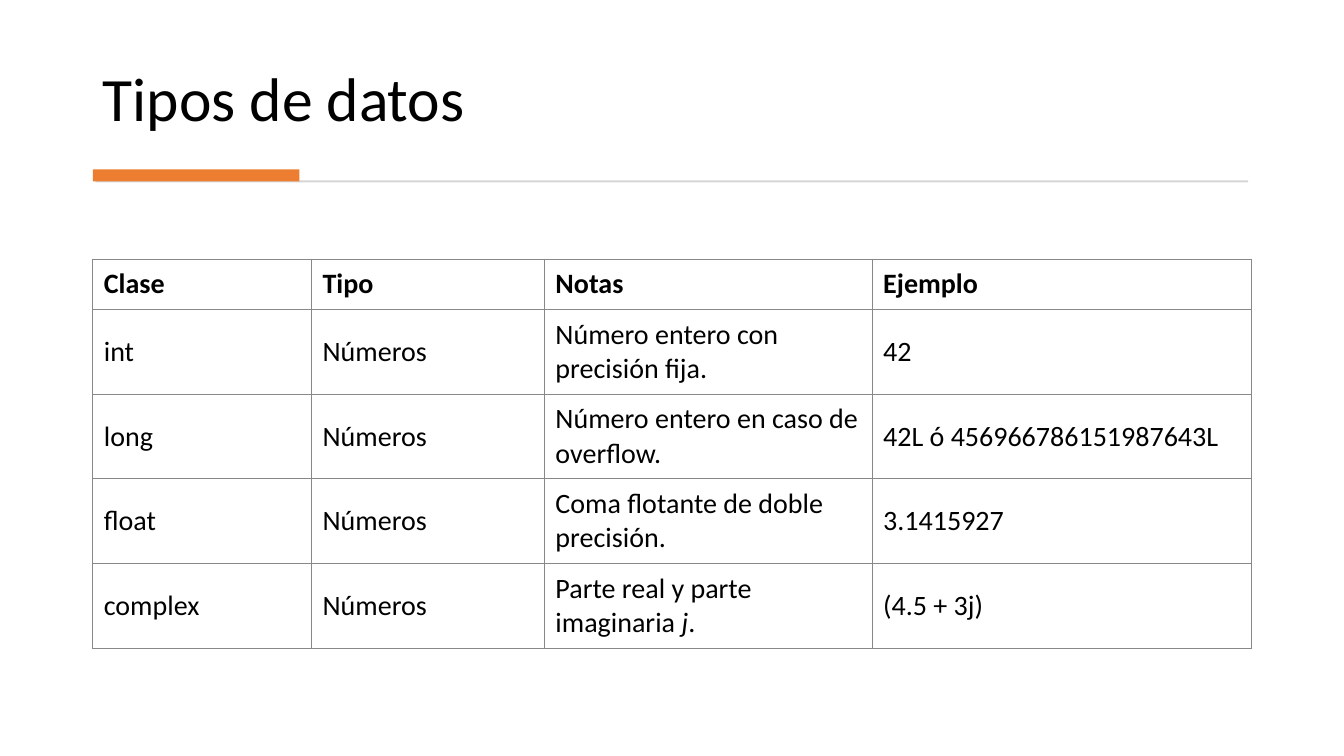
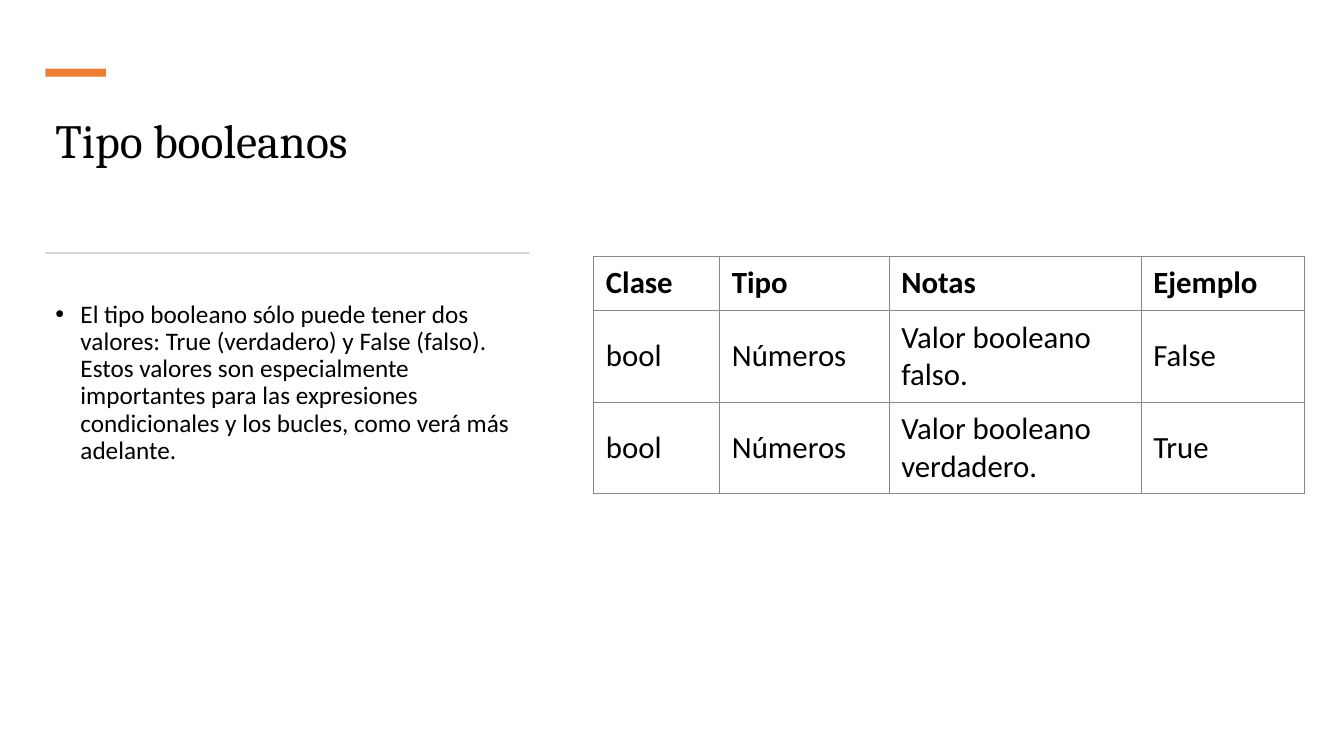
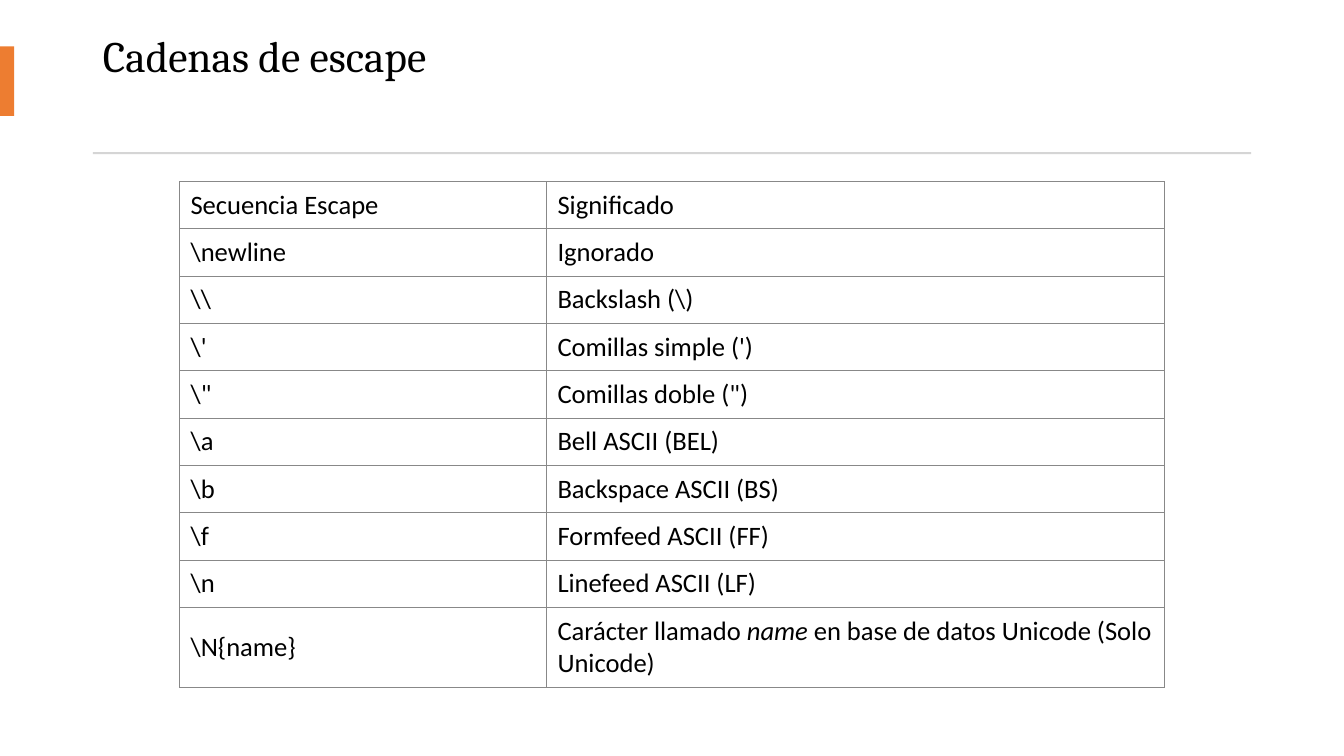
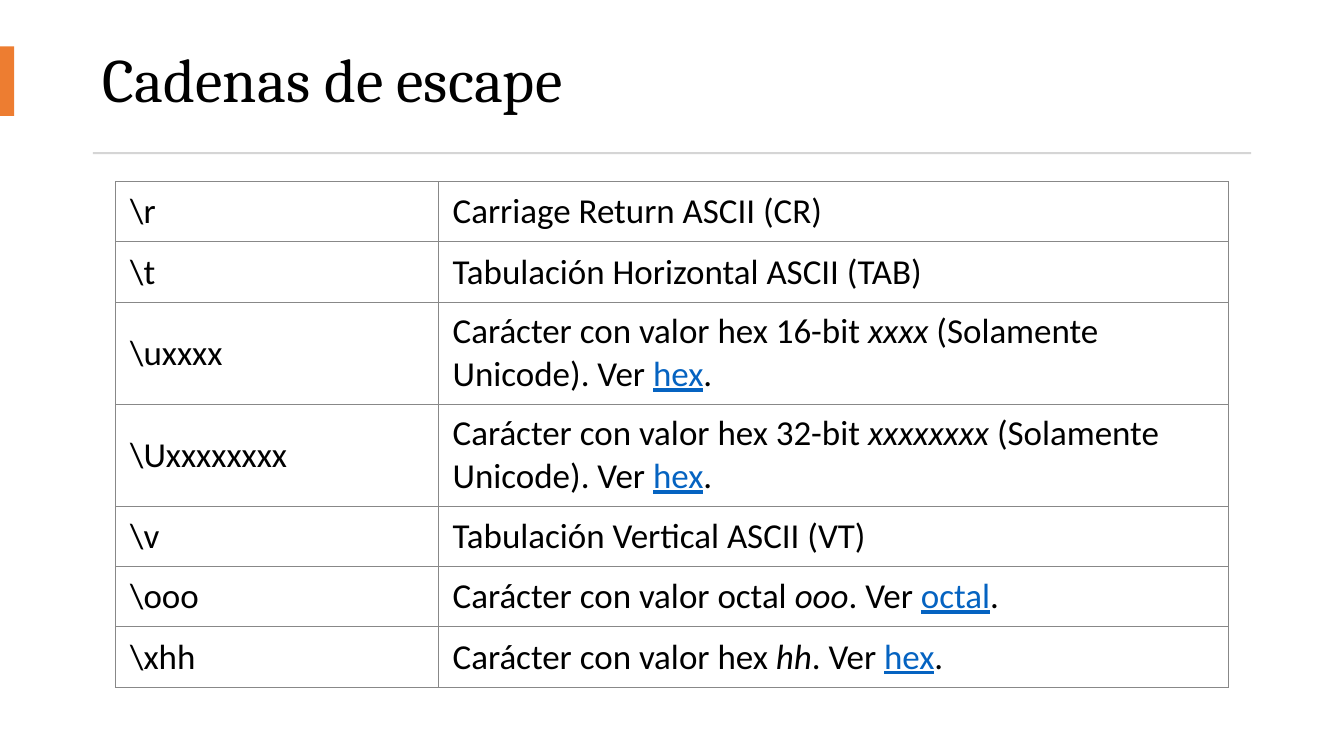
from dataclasses import dataclass

from lxml import etree
from pptx import Presentation
from pptx import util as u
from pptx.dml.color import RGBColor
from pptx.enum import shapes, text
from pptx.oxml.ns import qn

Inches, Pt = u.Inches, u.Pt


@dataclass(frozen=True)
class Theme:
    ink: str = "000000"
    paper: str = "FFFFFF"
    accent: str = "ED7D31"
    rule: str = "D5D5D5"
    grid: str = "888888"
    link: str = "0563C1"
    sans: str = "Calibri"
    serif: str = "Cambria"
    title: int = 44
    title_medium: int = 34
    title_small: int = 31
    body: int = 18
    grid_width: float = 0.75
    spacing: float = 0.9


class Deck:
    """Holds the theme and the slide being built."""

    def __init__(self, theme):
        self.theme = theme
        self.prs = Presentation()
        self.prs.slide_width, self.prs.slide_height = Inches(13.33), Inches(7.5)
        self.s = None

    def font(self, r, size, name=None, color=None):
        r.font.size, r.font.name = Pt(size), name or self.theme.sans
        r.font.color.rgb = RGBColor.from_string(color or self.theme.ink)

    def title_slide(self, title, box, size, name, anchor, bottom=0.05):
        self.s = self.prs.slides.add_slide(self.prs.slide_layouts[5])
        sp = self.s.shapes.title
        sp.left, sp.top, sp.width, sp.height = map(Inches, box)
        tf = sp.text_frame
        tf.text = title
        tf.word_wrap, tf.auto_size = True, text.MSO_AUTO_SIZE.NONE
        tf.vertical_anchor, tf.margin_bottom = anchor, Inches(bottom)
        p = tf.paragraphs[0]
        p.alignment, p.line_spacing = text.PP_ALIGN.LEFT, self.theme.spacing
        self.font(p.runs[0], size, name)

    def bar(self, box, color):
        sp = self.s.shapes.add_shape(shapes.MSO_SHAPE.RECTANGLE, *map(Inches, box))
        sp.shadow.inherit = False
        sp.fill.solid()
        sp.fill.fore_color.rgb = RGBColor.from_string(color)
        sp.line.fill.background()

    def bullet(self, words, box):
        tf = self.s.shapes.add_textbox(*map(Inches, box)).text_frame
        tf.word_wrap = True
        tf.text = words
        p = tf.paragraphs[0]
        p.line_spacing, p.space_before = self.theme.spacing, Pt(10)
        pPr = p._p.get_or_add_pPr()
        pPr.set("marL", str(Inches(0.25)))
        pPr.set("indent", str(-Inches(0.25)))
        etree.SubElement(pPr, qn("a:buFont"), typeface="Arial")
        etree.SubElement(pPr, qn("a:buChar"), char="•")
        self.font(p.runs[0], self.theme.body)

    def borders(self, cell):
        tcPr = cell._tc.get_or_add_tcPr()
        for side in ("lnL", "lnR", "lnT", "lnB"):
            ln = etree.SubElement(tcPr, qn(f"a:{side}"), w=str(Pt(self.theme.grid_width)))
            fill = etree.SubElement(ln, qn("a:solidFill"))
            etree.SubElement(fill, qn("a:srgbClr"), val=self.theme.grid)

    def cell(self, cell, content, size, bold, margins):
        """Content is a string or a list of strings and (string, kind) pairs."""
        self.borders(cell)
        cell.fill.solid()
        cell.fill.fore_color.rgb = RGBColor.from_string(self.theme.paper)
        cell.vertical_anchor = text.MSO_ANCHOR.MIDDLE
        cell.margin_left = cell.margin_right = Inches(margins[0])
        cell.margin_top = cell.margin_bottom = Inches(margins[1])
        p = cell.text_frame.paragraphs[0]
        for piece in [content] if isinstance(content, str) else content:
            words, kind = (piece, "") if isinstance(piece, str) else piece
            r = p.add_run()
            r.text = words
            self.font(r, size, color=self.theme.link if kind == "link" else None)
            r.font.bold, r.font.italic = bold, kind == "italic"
            r.font.underline = kind == "link"

    def table(self, rows, at, widths, heights, size, margins, header=False):
        frame = self.s.shapes.add_table(len(rows), len(widths), *map(Inches, at),
                                        Inches(sum(widths)), Inches(sum(heights)))
        table = frame.table
        table.first_row = table.horz_banding = False
        for column, width in zip(table.columns, widths):
            column.width = Inches(width)
        for i, (row, height) in enumerate(zip(rows, heights)):
            table.rows[i].height = Inches(height)
            for j, content in enumerate(row):
                self.cell(table.cell(i, j), content, size, header and i == 0, margins)

    def escape_slide(self, size, bottom=0.05):
        self.title_slide("Cadenas de escape", (0.92, 0.27, 11.49, 1.1), size,
                         self.theme.serif, text.MSO_ANCHOR.MIDDLE, bottom)
        self.bar((0, 0.46, 0.14, 0.69), self.theme.accent)
        self.bar((0.92, 1.51, 11.49, 0.02), self.theme.rule)


HEADER = ("Clase", "Tipo", "Notas", "Ejemplo")


def value_note(base, digits, link, scope=""):
    return [f"Carácter con valor {base} ", (digits, "italic"),
            f"{scope}. Ver ", (link, "link"), "."]


def main():
    theme = Theme()
    deck = Deck(theme)

    # Number types
    deck.title_slide("Tipos de datos", (0.92, 0.28, 11.49, 1.11), theme.title,
                     theme.sans, text.MSO_ANCHOR.BOTTOM)
    deck.bar((0.95, 1.79, 11.43, 0.02), theme.rule)
    deck.bar((0.92, 1.68, 2.05, 0.12), theme.accent)
    numbers = [
        ("int", "Número entero con precisión fija.", "42"),
        ("long", "Número entero en caso de overflow.", "42L ó 456966786151987643L"),
        ("float", "Coma flotante de doble precisión.", "3.1415927"),
        ("complex", ["Parte real y parte imaginaria ", ("j", "italic"), "."], "(4.5 + 3j)"),
    ]
    rows = [HEADER] + [(name, "Números", note, example) for name, note, example in numbers]
    deck.table(rows, (0.92, 2.57), (2.17, 2.31, 3.25, 3.76), [0.5] + [0.84] * 4,
               20, (0.11, 0.06), header=True)

    # Booleans
    deck.title_slide("Tipo booleanos", (0.45, 1.08, 4.86, 1.19), theme.title_medium,
                     theme.serif, text.MSO_ANCHOR.BOTTOM, bottom=0.6)
    deck.bar((0.45, 0.68, 0.6, 0.08), theme.accent)
    deck.bar((0.45, 2.5, 4.8, 0.02), theme.rule)
    deck.bullet("El tipo booleano sólo puede tener dos valores: True (verdadero) y False "
                "(falso). Estos valores son especialmente importantes para las expresiones "
                "condicionales y los bucles, como verá más adelante.",
                (0.45, 2.94, 4.86, 3.82))
    rows = [HEADER,
            ("bool", "Números", "Valor booleano falso.", "False"),
            ("bool", "Números", "Valor booleano verdadero.", "True")]
    deck.table(rows, (5.89, 2.54), (1.25, 1.68, 2.5, 1.62), [0.54] + [0.91] * 2,
               22, (0.12, 0.06), header=True)

    # Escape sequences, first part
    deck.escape_slide(theme.title_small, bottom=0.53)
    rows = [
        ("Secuencia Escape", "Significado"),
        (r"\newline", "Ignorado"),
        (r"\\", r"Backslash (\)"),
        (r"\'", "Comillas simple (')"),
        (r'\"', 'Comillas doble (")'),
        (r"\a", "Bell ASCII (BEL)"),
        (r"\b", "Backspace ASCII (BS)"),
        (r"\f", "Formfeed ASCII (FF)"),
        (r"\n", "Linefeed ASCII (LF)"),
        (r"\N{name}", ["Carácter llamado ", ("name", "italic"),
                       " en base de datos Unicode (Solo Unicode)"]),
    ]
    deck.table(rows, (1.78, 1.8), (3.64, 6.13), [0.47] * 9 + [0.79], 19, (0.11, 0.05))

    # Escape sequences, second part
    deck.escape_slide(theme.title)
    scope = " (Solamente Unicode)"
    rows = [
        (r"\r", "Carriage Return ASCII (CR)"),
        (r"\t", "Tabulación Horizontal ASCII (TAB)"),
        (r"\uxxxx", value_note("hex 16-bit", "xxxx", "hex", scope)),
        (r"\Uxxxxxxxx", value_note("hex 32-bit", "xxxxxxxx", "hex", scope)),
        (r"\v", "Tabulación Vertical ASCII (VT)"),
        (r"\ooo", value_note("octal", "ooo", "octal")),
        (r"\xhh", value_note("hex", "hh", "hex")),
    ]
    deck.table(rows, (1.15, 1.8), (3.2, 7.83), [0.6] * 2 + [1.01] * 2 + [0.6] * 3,
               25, (0.14, 0.07))

    deck.prs.save("out.pptx")


if __name__ == "__main__":
    main()
